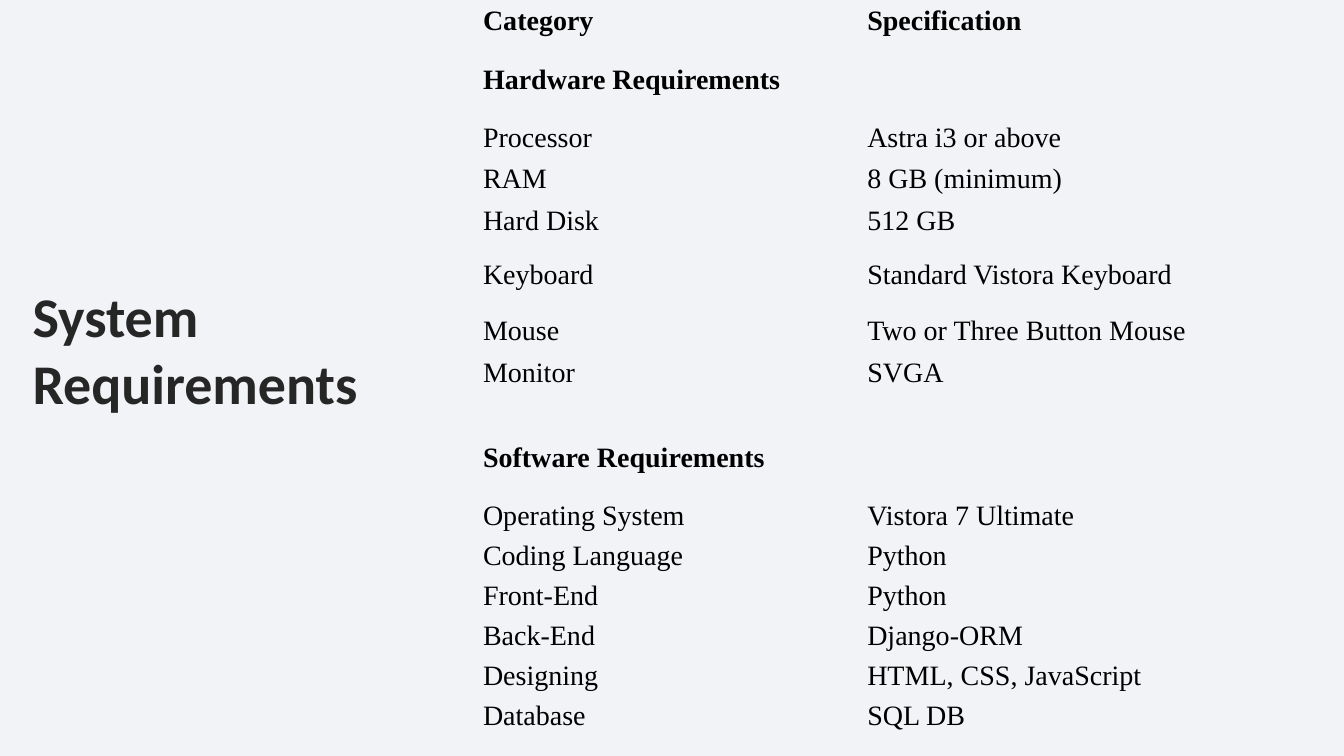
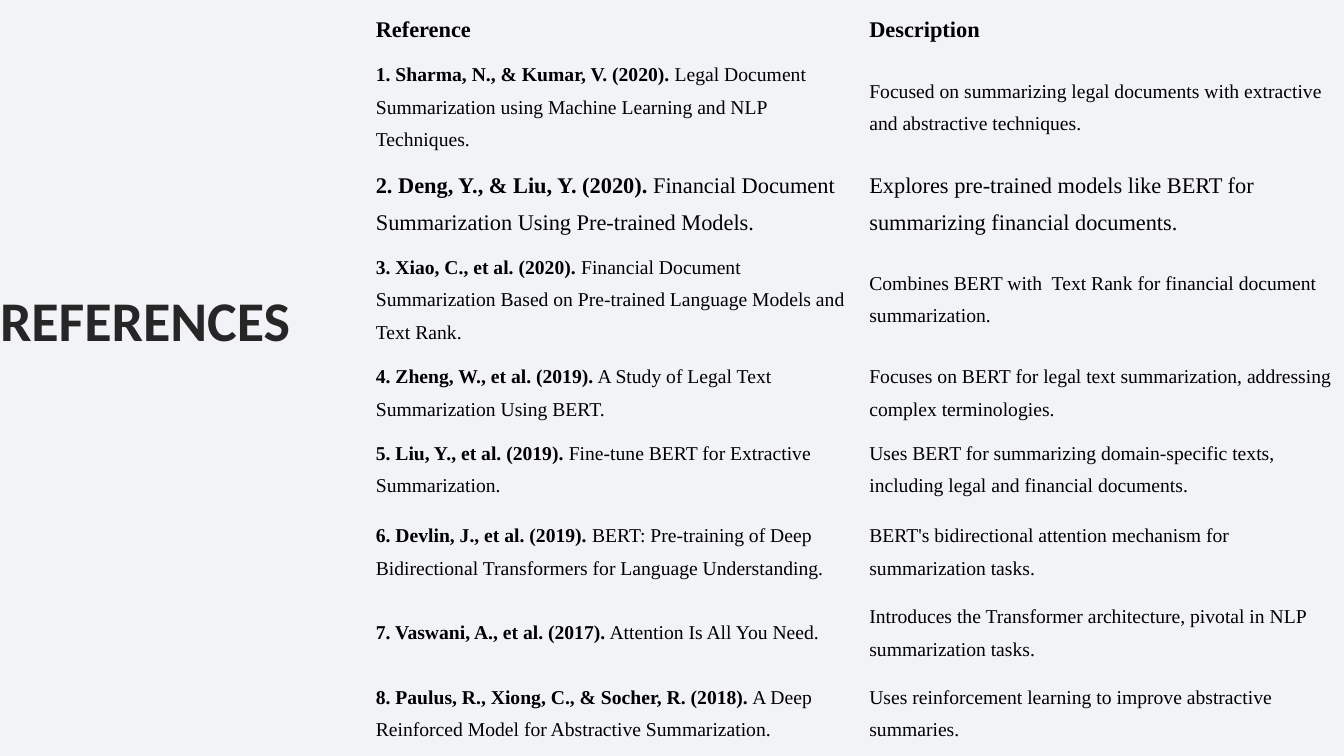
from lxml.etree import SubElement
from pptx import Presentation
from pptx.dml.color import RGBColor
from pptx.enum.text import MSO_ANCHOR as Anchor, MSO_AUTO_SIZE as AutoSize, PP_ALIGN as Align
from pptx.oxml.ns import qn
from pptx.util import Pt

PX = 9525  # EMU per px, 1280 x 720 px on a slide
PAPER = RGBColor(0xF2, 0xF3, 0xF7)
TITLE_INK = RGBColor(0x26, 0x26, 0x26)
TABLE_INK = RGBColor(0x00, 0x00, 0x00)
TITLE_FONT, TABLE_FONT = "Calibri", "Times New Roman"
PLAIN_STYLE = "{2D5ABB26-0587-4C30-8999-92F81FD0307C}"  # no fill, no grid
TITLE_ONLY = 5

# Rows: height in px, then text size, then cells; a cell is (bold part, plain part)
def heading(height, size, *texts):
    return height, size, [(text, "") for text in texts]


def entry(height, size, label, value):
    return height, size, [("", label), ("", value)]


def reference(height, size, authors, work, description):
    return height, size, [(authors, work), ("", description)]


REQUIREMENTS = [
    heading(39, 20, "Category", "Specification"),
    heading(72, 20, "Hardware Requirements", ""),
    entry(39, 20, "Processor", "Astra i3 or above"),
    entry(40, 20, "RAM", "8 GB (minimum)"),
    entry(39, 20, "Hard Disk", "512 GB"),
    entry(65, 20, "Keyboard", "Standard Vistora Keyboard"),
    entry(40, 20, "Mouse", "Two or Three Button Mouse"),
    entry(40, 20, "Monitor", "SVGA"),
    entry(25, 10, "", ""),
    heading(72, 20, "Software Requirements", ""),
    entry(39, 20, "Operating System", "Vistora 7 Ultimate"),
    entry(38, 20, "Coding Language", "Python"),
    entry(38, 20, "Front-End", "Python"),
    entry(38, 20, "Back-End", "Django-ORM"),
    entry(38, 20, "Designing", "HTML, CSS, JavaScript"),
    entry(38, 20, "Database", "SQL DB"),
]

REFERENCES = [
    heading(46, 16, "Reference", "Description"),
    reference(103, 14, "1. Sharma, N., & Kumar, V. (2020).",
              " Legal Document Summarization using Machine Learning and NLP Techniques.",
              "Focused on summarizing legal documents with extractive and abstractive techniques."),
    reference(79, 16, "2. Deng, Y., & Liu, Y. (2020).",
              " Financial Document Summarization Using Pre-trained Models.",
              "Explores pre-trained models like BERT for summarizing financial documents."),
    reference(105, 14, "3. Xiao, C., et al. (2020).",
              " Financial Document Summarization Based on Pre-trained Language Models and Text Rank.",
              "Combines BERT with  Text Rank for financial document summarization."),
    reference(73, 14, "4. Zheng, W., et al. (2019).",
              " A Study of Legal Text Summarization Using BERT.",
              "Focuses on BERT for legal text summarization, addressing complex terminologies."),
    reference(73, 14, "5. Liu, Y., et al. (2019).",
              " Fine-tune BERT for Extractive Summarization.",
              "Uses BERT for summarizing domain-specific texts, including legal and financial documents."),
    reference(84, 14, "6. Devlin, J., et al. (2019).",
              " BERT: Pre-training of Deep Bidirectional Transformers for Language Understanding.",
              "BERT's bidirectional attention mechanism for summarization tasks."),
    reference(70, 14, "7. Vaswani, A., et al. (2017).",
              " Attention Is All You Need.",
              "Introduces the Transformer architecture, pivotal in NLP summarization tasks."),
    reference(84, 14, "8. Paulus, R., Xiong, C., & Socher, R. (2018).",
              " A Deep Reinforced Model for Abstractive Summarization.",
              "Uses reinforcement learning to improve abstractive summaries."),
]


def style_run(r, font, size, color, bold):
    r.font.name, r.font.size, r.font.bold = font, Pt(size), bold
    r.font.color.rgb = color


def set_margins(target, across, down):
    target.margin_left = target.margin_right = across * PX
    target.margin_top = target.margin_bottom = down * PX


def add_titled_slide(prs, text, left, top, width, height):
    s = prs.slides.add_slide(prs.slide_layouts[TITLE_ONLY])
    sp = s.shapes.title
    sp.left, sp.top, sp.width, sp.height = (v * PX for v in (left, top, width, height))
    tf = sp.text_frame
    tf.text = text
    tf.word_wrap, tf.auto_size, tf.vertical_anchor = True, AutoSize.NONE, Anchor.TOP
    set_margins(tf, 0, 0)
    p = tf.paragraphs[0]
    p.alignment = Align.LEFT
    style_run(p.runs[0], TITLE_FONT, 40, TITLE_INK, True)
    return s


def fill_cell(cell, parts, size, margins, spacing):
    cell.fill.background()
    cell.vertical_anchor = Anchor.MIDDLE
    set_margins(cell, *margins)
    p = cell.text_frame.paragraphs[0]
    p.line_spacing = spacing
    for text, bold in zip(parts, (True, False)):
        if text:
            r = p.add_run()
            r.text = text
            style_run(r, TABLE_FONT, size, TABLE_INK, bold)
    if not p.runs:  # an empty cell must not stretch its row
        SubElement(p._p, qn("a:endParaRPr"), sz=str(size * 100))


def add_plain_table(s, left, top, widths, rows, margins, spacing):
    height = sum(row[0] for row in rows)
    table = s.shapes.add_table(len(rows), len(widths), left * PX, top * PX,
                               sum(widths) * PX, height * PX).table
    table.first_row = table.horz_banding = False
    table._tbl.tblPr.find(qn("a:tableStyleId")).text = PLAIN_STYLE
    for column, width in zip(table.columns, widths):
        column.width = width * PX
    for row, (row_height, size, cells) in zip(table.rows, rows):
        row.height = row_height * PX
        for cell, parts in zip(row.cells, cells):
            fill_cell(cell, parts, size, margins, spacing)


def main():
    prs = Presentation()
    prs.slide_width, prs.slide_height = 1280 * PX, 720 * PX
    # Shared background
    fill = prs.slide_master.background.fill
    fill.solid()
    fill.fore_color.rgb = PAPER

    # System requirements
    s = add_titled_slide(prs, "System Requirements", 31, 268, 437, 204)
    add_plain_table(s, 453, 1, (366, 406), REQUIREMENTS, margins=(7, 4), spacing=1.0)

    # References
    s = add_titled_slide(prs, "REFERENCES", 0, 272, 640, 211)
    add_plain_table(s, 352, 0, (470, 457), REFERENCES, margins=(6, 3), spacing=1.5)

    prs.save("out.pptx")


if __name__ == "__main__":
    main()
